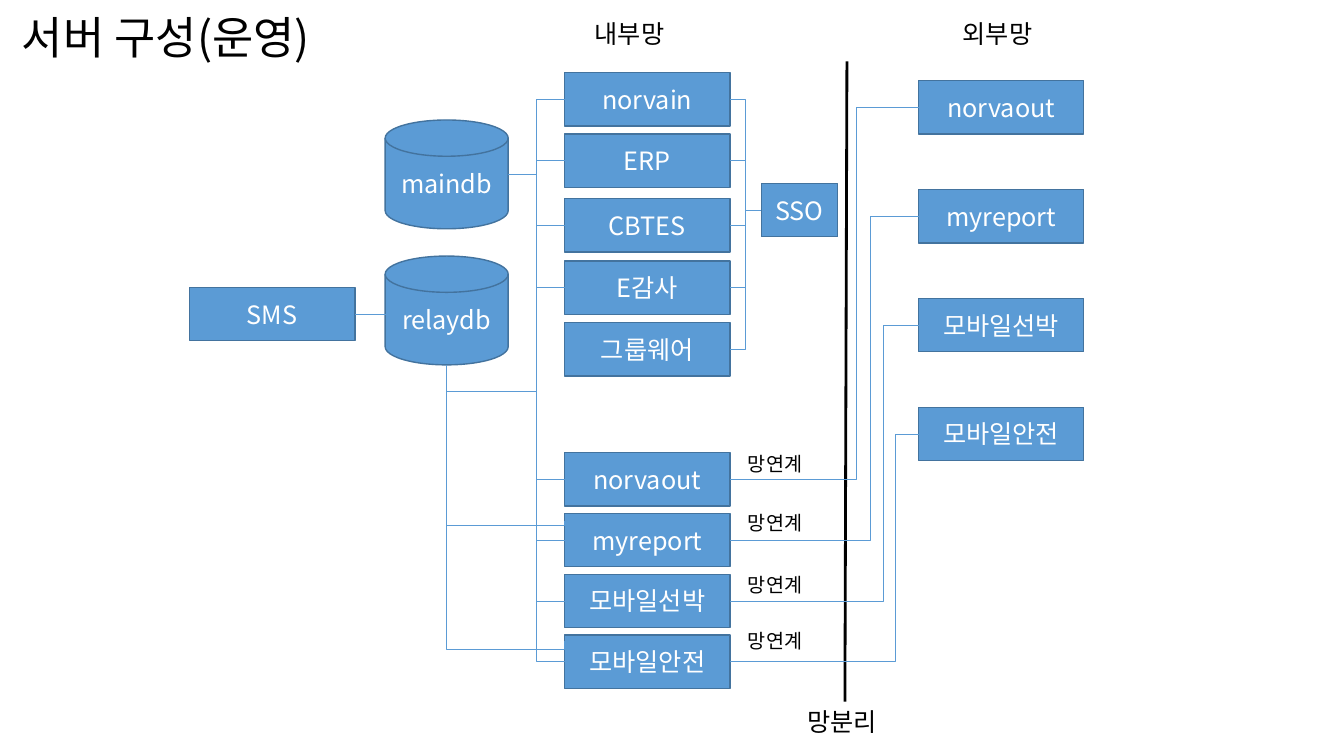
from dataclasses import dataclass

import pptx
import pptx.dml.color
import pptx.enum.shapes
import pptx.enum.text
import pptx.oxml
import pptx.oxml.ns
import pptx.util

Inches = pptx.util.Inches
Pt = pptx.util.Pt
qn = pptx.oxml.ns.qn
Shapes = pptx.enum.shapes.MSO_SHAPE
Connectors = pptx.enum.shapes.MSO_CONNECTOR
Align = pptx.enum.text.PP_ALIGN
Anchor = pptx.enum.text.MSO_ANCHOR


@dataclass(frozen=True)
class Theme:
    font: str = "Noto Sans CJK KR"
    fill: str = "5B9BD5"
    outline: str = "43739E"
    dark: str = "000000"
    light: str = "FFFFFF"
    title: int = 32
    body: int = 18
    small: int = 14


THEME = Theme()

# Box sizes and column positions, in inches
BOX_WIDTH, BOX_HEIGHT = 1.64, 0.53
DISK_WIDTH, DISK_HEIGHT = 1.22, 1.08
DISK_LEFT, INNER_LEFT, OUTER_LEFT = 3.82, 5.6, 9.11
SSO_LEFT, SSO_TOP = 7.55, 1.82
SMS_LEFT, SMS_TOP = 1.88, 2.85
UPPER_DISK_TOP, LOWER_DISK_TOP = 1.19, 2.54
LINKED_FIRST_TOP, LINKED_LAST_TOP = 4.49, 6.3
INNER_RIGHT = INNER_LEFT + BOX_WIDTH

INNER_SERVERS = {"norvain": 0.72, "ERP": 1.33, "CBTES": 1.97, "E감사": 2.59, "그룹웨어": 3.2}
LINKED_SERVERS = ["norvaout", "myreport", "모바일선박", "모바일안전"]
LINK_BENDS = [8.49, 8.63, 8.76, 8.88]
LINK_LABEL_TOPS = [4.43, 5.02, 5.63, 6.19]


def color(value):
    return pptx.dml.color.RGBColor.from_string(value)


def middle(top):
    return top + BOX_HEIGHT / 2


def write_text(shape, text, size=THEME.body, ink=THEME.dark, align=Align.LEFT,
               anchor=Anchor.TOP, wrap=True, line_spacing=None):
    frame = shape.text_frame
    frame.word_wrap = wrap
    frame.vertical_anchor = anchor
    paragraph = frame.paragraphs[0]
    paragraph.alignment = align
    paragraph.line_spacing = line_spacing
    run = paragraph.add_run()
    run.text = text
    run.font.size = Pt(size)
    run.font.name = THEME.font
    run.font.color.rgb = color(ink)
    properties = run.font._element
    east_asian = properties.makeelement(qn("a:ea"), {"typeface": THEME.font})
    properties.find(qn("a:latin")).addnext(east_asian)


def add_label(slide, text, left, top, width=0.96, height=0.4, wrap=False, **text_format):
    label = slide.shapes.add_textbox(Inches(left), Inches(top), Inches(width), Inches(height))
    write_text(label, text, wrap=wrap, **text_format)
    if not wrap:
        label.text_frame.auto_size = pptx.enum.text.MSO_AUTO_SIZE.SHAPE_TO_FIT_TEXT


def add_node(slide, text, left, top, width=BOX_WIDTH, height=BOX_HEIGHT, kind=Shapes.RECTANGLE):
    node = slide.shapes.add_shape(kind, Inches(left), Inches(top), Inches(width), Inches(height))
    node.shadow.inherit = False
    node.fill.solid()
    node.fill.fore_color.rgb = color(THEME.fill)
    node.line.color.rgb = color(THEME.outline)
    node.line.width = Pt(1)
    write_text(node, text, ink=THEME.light, align=Align.CENTER, anchor=Anchor.MIDDLE)


def add_disk(slide, text, top):
    add_node(slide, text, DISK_LEFT, top, DISK_WIDTH, DISK_HEIGHT, Shapes.FLOWCHART_MAGNETIC_DISK)


def add_line(slide, start, end, kind=Connectors.STRAIGHT, ink=THEME.fill, width=0.5):
    line = slide.shapes.add_connector(kind, *(Inches(value) for value in (*start, *end)))
    line.line.color.rgb = color(ink)
    line.line.width = Pt(width)
    properties = line.element.spPr
    properties.append(properties.makeelement(qn("a:effectLst"), {}))
    return line


def set_bends(line, preset, adjustments):
    geometry = line.element.spPr.find(qn("a:prstGeom"))
    geometry.set("prst", preset)
    guides = geometry.get_or_add_avLst()
    for number, share in enumerate(adjustments, 1):
        values = {"name": f"adj{number}", "fmla": f"val {round(share * 100000)}"}
        guides.append(guides.makeelement(qn("a:gd"), values))


def add_side_elbow(slide, start, end, bend=None):
    """Leave sideways and turn at the x position bend, or half way."""
    line = add_line(slide, start, end, Connectors.ELBOW)
    if bend is not None:
        set_bends(line, "bentConnector3", [(bend - start[0]) / (end[0] - start[0])])


def add_bottom_elbow(slide, start, end, preset, adjustments):
    """Leave vertically: a sideways elbow turned a quarter about its centre."""
    center_x, center_y = (start[0] + end[0]) / 2, (start[1] + end[1]) / 2
    reach = abs(end[1] - start[1]) / 2
    rise = (end[0] - start[0]) / 2
    falling = end[1] > start[1]
    if falling:
        rise = -rise
    line = add_line(slide, (center_x + reach, center_y + rise),
                    (center_x - reach, center_y - rise), Connectors.ELBOW)
    set_bends(line, preset, adjustments)
    line.element.spPr.find(qn("a:xfrm")).set("rot", str((270 if falling else 90) * 60000))


def main():
    presentation = pptx.Presentation()
    presentation.slide_width, presentation.slide_height = Inches(13.33), Inches(7.5)
    slide = presentation.slides.add_slide(presentation.slide_layouts[6])

    # Title, zone names and the line between the networks
    add_label(slide, "서버 구성(운영)", 0.12, 0.08, 11.5, 0.64, wrap=True,
              size=THEME.title, anchor=Anchor.MIDDLE, line_spacing=0.9)
    add_label(slide, "내부망", 5.8, 0.13)
    add_label(slide, "외부망", 9.45, 0.13)
    add_label(slide, "망분리", 7.91, 6.96)
    add_line(slide, (8.4, 0.61), (8.38, 6.96), ink=THEME.dark, width=2)

    # Databases, message server and sign-on server
    add_disk(slide, "maindb", UPPER_DISK_TOP)
    add_disk(slide, "relaydb", LOWER_DISK_TOP)
    add_node(slide, "SMS", SMS_LEFT, SMS_TOP)
    add_line(slide, (SMS_LEFT + BOX_WIDTH, middle(SMS_TOP)), (3.92, middle(SMS_TOP)))
    add_node(slide, "SSO", SSO_LEFT, SSO_TOP, width=0.76)

    # Internal servers, each joined to the sign-on server
    for name, top in INNER_SERVERS.items():
        add_node(slide, name, INNER_LEFT, top)
        add_side_elbow(slide, (INNER_RIGHT, middle(top)), (SSO_LEFT, middle(SSO_TOP)))

    # Servers present in both networks, with their links
    linked_step = (LINKED_LAST_TOP - LINKED_FIRST_TOP) / (len(LINKED_SERVERS) - 1)
    linked_tops = [LINKED_FIRST_TOP + linked_step * row for row in range(len(LINKED_SERVERS))]
    for row, (name, top) in enumerate(zip(LINKED_SERVERS, linked_tops)):
        outer_top = 0.8 + 1.08 * row
        add_node(slide, name, INNER_LEFT, top)
        add_node(slide, name, OUTER_LEFT, outer_top)
        add_side_elbow(slide, (INNER_RIGHT, middle(top)), (OUTER_LEFT, middle(outer_top)),
                       LINK_BENDS[row])
        add_label(slide, "망연계", 7.32, LINK_LABEL_TOPS[row], 0.79, 0.34, size=THEME.small)

    # Lines from the upper database
    upper_side = (DISK_LEFT + DISK_WIDTH, UPPER_DISK_TOP + DISK_HEIGHT / 2)
    for top in [INNER_SERVERS[name] for name in ("ERP", "CBTES", "E감사")] + linked_tops:
        add_side_elbow(slide, upper_side, (INNER_LEFT, middle(top)))

    # Lines from the lower database
    lower_foot = (DISK_LEFT + DISK_WIDTH / 2, LOWER_DISK_TOP + DISK_HEIGHT)
    for end_y, preset, adjustments in [
        (middle(INNER_SERVERS["norvain"]), "bentConnector4", [-0.1, 0.76]),
        (5.17, "bentConnector3", [1.03]),
        (6.36, "bentConnector3", [1.03]),
    ]:
        add_bottom_elbow(slide, lower_foot, (INNER_LEFT, end_y), preset, adjustments)

    presentation.save("out.pptx")


main()
